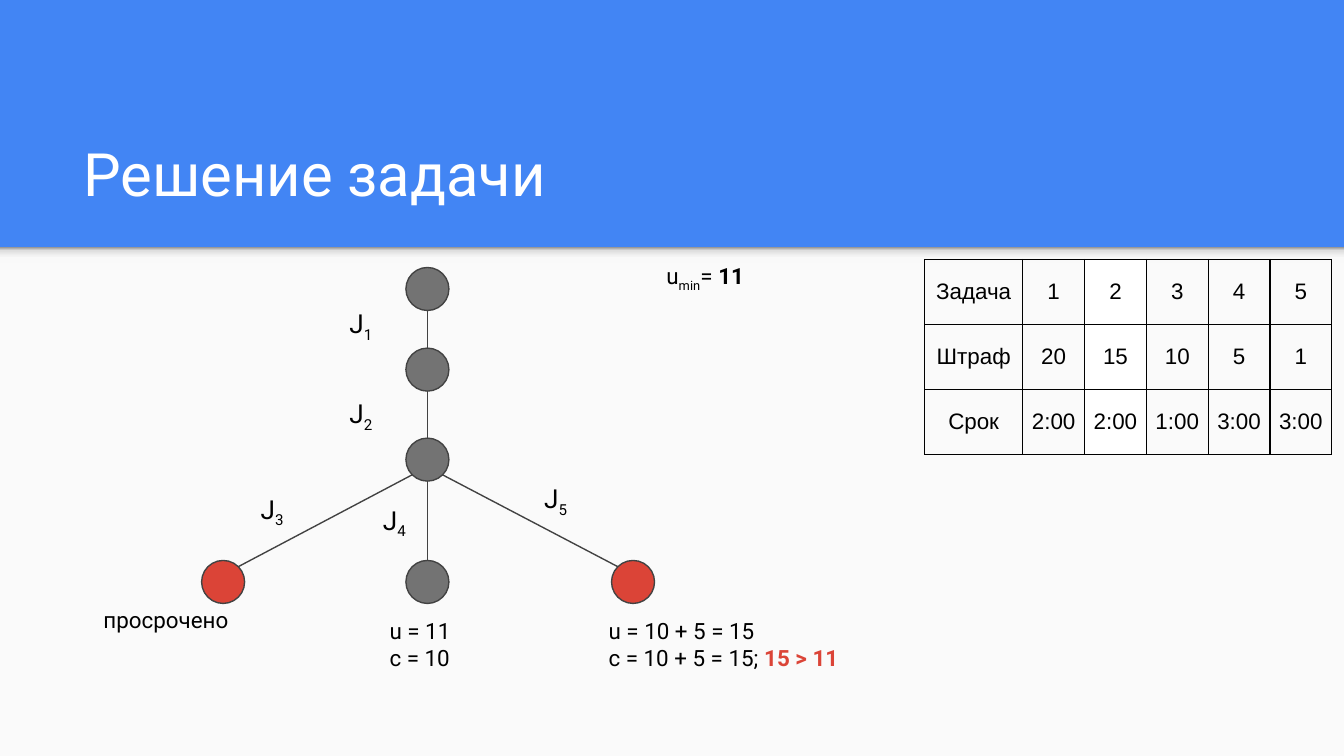
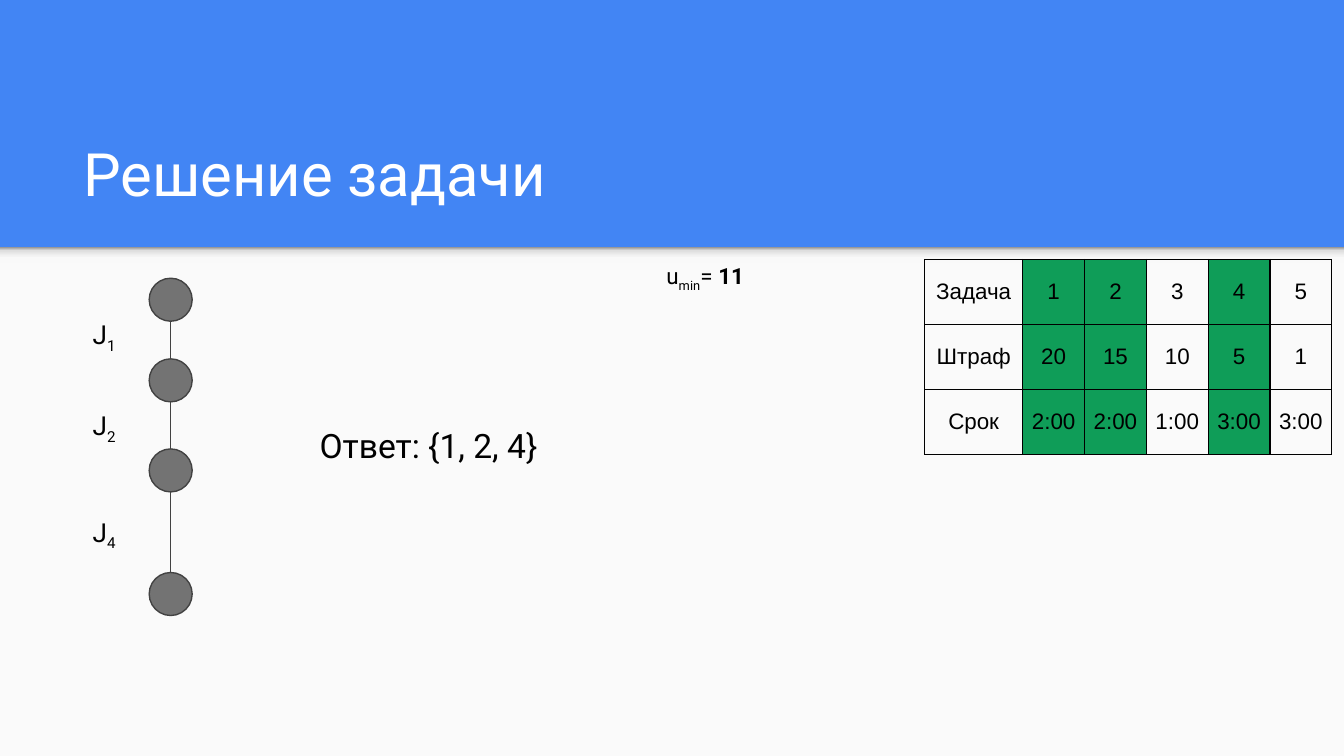
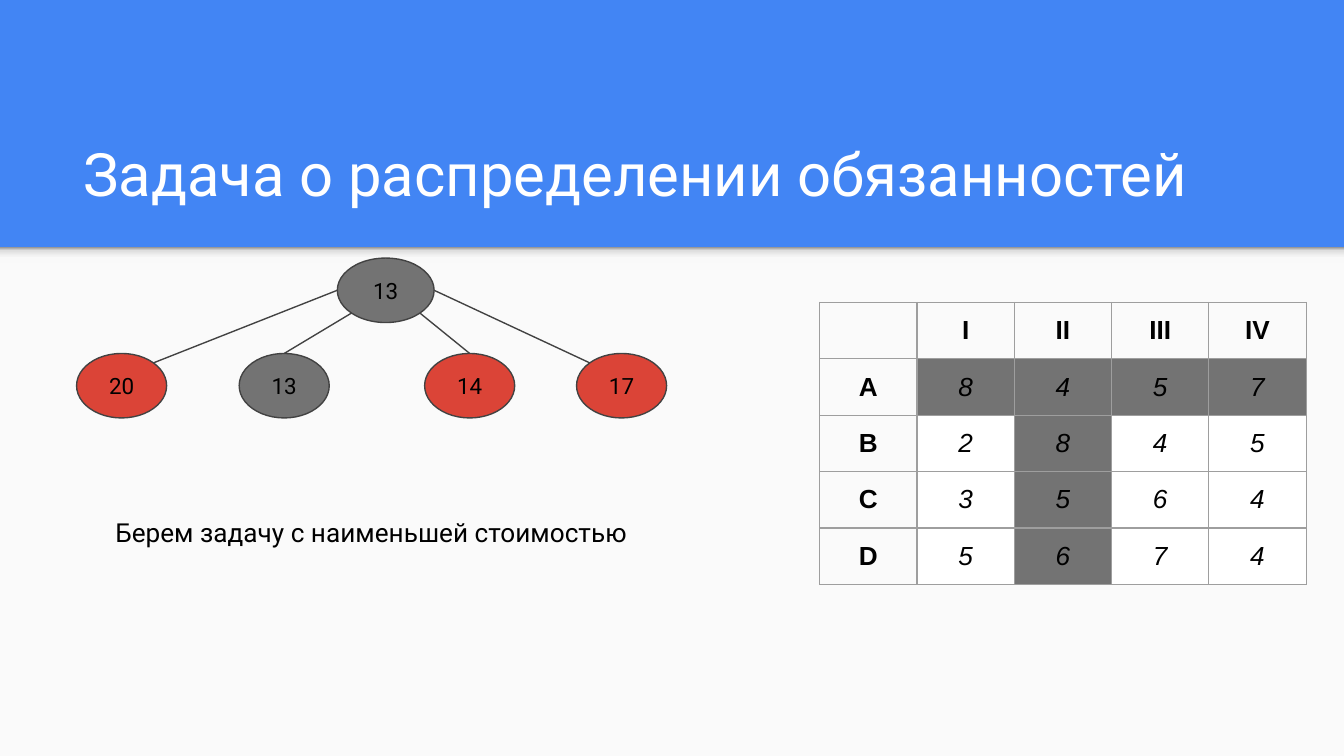
import math

from lxml import etree
from pptx import Presentation
from pptx.dml.color import RGBColor
from pptx.enum import shapes, text
from pptx.oxml import ns
from pptx.util import Inches, Pt

COLORS = {
    "blue": "4285F4", "paper": "FAFAFA", "white": "FFFFFF", "black": "000000",
    "gray": "737373", "red": "DB4437", "green": "0F9D58", "outline": "424242",
    "table line": "9E9E9E",
}
BAND_STOPS = [(0, "F9F9F9"), (36, "F9F9F9"), (80, "DEDEDE"), (100, "999999")]
RGB = {name: RGBColor.from_string(value) for name, value in COLORS.items()}
LEFT, CENTER = text.PP_ALIGN.LEFT, text.PP_ALIGN.CENTER
MIDDLE = text.MSO_ANCHOR.MIDDLE


def write(frame, paragraphs, size, align=LEFT, font="Roboto", color="black"):
    """Fill a text frame; each paragraph is a list of (text, style) runs."""
    for index, runs in enumerate(paragraphs):
        paragraph = frame.add_paragraph() if index else frame.paragraphs[0]
        paragraph.alignment = align
        for content, style in runs:
            run = paragraph.add_run()
            run.text = content
            run.font.name, run.font.size = font, Pt(size)
            run.font.color.rgb = RGB["red" if style == "alert" else color]
            run.font.bold = style in ("bold", "alert")
            run.font.italic = style == "italic"
            if style == "sub":
                run.font._element.set("baseline", "-25000")


def add_table(slide, rows, left, top, widths, row_height, size, margins, line, fills):
    """Draw a bordered table; fills maps (row, column) to a colour name."""
    table = slide.shapes.add_table(
        len(rows), len(widths), Inches(left), Inches(top),
        Inches(sum(widths)), Inches(row_height * len(rows))).table
    for column, width in zip(table.columns, widths):
        column.width = Inches(width)
    for r, row in enumerate(rows):
        table.rows[r].height = Inches(row_height)
        for c, (content, style) in enumerate(row):
            cell = table.cell(r, c)
            cell.margin_left = cell.margin_right = Inches(margins[0])
            cell.margin_top = cell.margin_bottom = Inches(margins[1] if content else 0)
            cell.vertical_anchor = MIDDLE
            if content:
                write(cell.text_frame, [[(content, style)]], size, CENTER, "Arial")
            properties = cell._tc.get_or_add_tcPr()
            for side in ("lnL", "lnR", "lnT", "lnB"):
                border = etree.SubElement(properties, ns.qn(f"a:{side}"), w=str(Pt(0.75)))
                solid = etree.SubElement(border, ns.qn("a:solidFill"))
                etree.SubElement(solid, ns.qn("a:srgbClr"), val=COLORS[line])
            if (r, c) in fills:
                cell.fill.solid()
                cell.fill.fore_color.rgb = RGB[fills[r, c]]
            else:
                cell.fill.background()


presentation = Presentation()
presentation.slide_width = Inches(10)
presentation.slide_height = Inches(10 * 9 / 16)
background = presentation.slide_master.background.fill
background.solid()
background.fore_color.rgb = RGB["blue"]
layout = presentation.slide_layouts[5]

slides = []
for title_text in ("Решение задачи", "Решение задачи", "Задача о распределении обязанностей"):
    slide = presentation.slides.add_slide(layout)
    slides.append(slide)
    title = slide.shapes.title
    title.left, title.top = Inches(0.52), Inches(0.81)
    title.width, title.height = Inches(8.99), Inches(0.84)
    frame = title.text_frame
    frame.auto_size = text.MSO_AUTO_SIZE.NONE
    frame.vertical_anchor = text.MSO_ANCHOR.BOTTOM
    frame.margin_left = frame.margin_right = Inches(0.1)
    frame.margin_top = frame.margin_bottom = Inches(0.1)
    write(frame, [[(title_text, "")]], 32, color="white")

# Shared body panel and the shade under the header, moved into the layout
for position, height in enumerate((3.79, 0.12)):
    panel = slides[0].shapes.add_shape(
        shapes.MSO_SHAPE.RECTANGLE, 0, Inches(1.84), Inches(10), Inches(height))
    panel.shadow.inherit = False
    panel.line.fill.background()
    if position == 0:
        panel.fill.solid()
        panel.fill.fore_color.rgb = RGB["paper"]
    else:
        panel.fill.gradient()
        panel.fill.gradient_angle = 90
        stops = panel._element.spPr.find(".//" + ns.qn("a:gsLst"))
        for stop in list(stops):
            stops.remove(stop)
        for percent, color in BAND_STOPS:
            stop = etree.SubElement(stops, ns.qn("a:gs"), pos=str(percent * 1000))
            etree.SubElement(stop, ns.qn("a:srgbClr"), val=color)
    layout.shapes._spTree.insert(2 + position, panel._element)

# Tables
jobs = [
    ["Задача", "1", "2", "3", "4", "5"],
    ["Штраф", "20", "15", "10", "5", "1"],
    ["Срок", "2:00", "2:00", "1:00", "3:00", "3:00"],
]
job_rows = [[(value, "") for value in row] for row in jobs]
for slide, columns, color in ((slides[0], [2], "white"), (slides[1], [1, 2, 4], "green")):
    fills = {(r, c): color for r in range(3) for c in columns}
    add_table(slide, job_rows, 6.88, 1.93, [0.73] + [0.46] * 5, 1.45 / 3, 12,
              (0.04, 0.05), "black", fills)

costs = [
    ["", "I", "II", "III", "IV"],
    ["A", "8", "4", "5", "7"],
    ["B", "2", "8", "4", "5"],
    ["C", "3", "5", "6", "4"],
    ["D", "5", "6", "7", "4"],
]
cost_rows = [[(value, "italic" if r and c else "bold") for c, value in enumerate(row)]
             for r, row in enumerate(costs)]
cost_fills = {(r, c): "gray" if r == 1 or c == 2 else "white"
              for r in range(1, 5) for c in range(1, 5)}
add_table(slides[2], cost_rows, 6.1, 2.25, [3.62 / 5] * 5, 0.42, 14,
          (0.1, 0.1), "table line", cost_fills)

# Trees: nodes are (left, top, width, height, colour, text);
# edges are (parent, angle, child, angle), clockwise degrees from the right
DOT = (0.32, 0.32)
chain_edges = [(0, 90, 1, 270), (1, 90, 2, 270), (2, 90, 3, 270)]
trees = [
    (slides[0],
     [(3.02, top, *DOT, "gray", "") for top in (1.99, 2.59, 3.26, 4.17)]
     + [(left, 4.17, *DOT, "red", "") for left in (1.5, 4.55)],
     chain_edges + [(2, 135, 4, 315), (2, 45, 5, 225)]),
    (slides[1],
     [(1.11, top, *DOT, "gray", "") for top in (2.07, 2.67, 3.34, 4.26)],
     chain_edges),
    (slides[2],
     [(2.51, 1.92, 0.72, 0.48, "gray", "13")]
     + [(left, 2.63, 0.67, 0.48, color, cost) for left, color, cost in (
         (0.57, "red", "20"), (1.78, "gray", "13"), (3.16, "red", "14"), (4.29, "red", "17"))],
     [(0, 180, 1, 315), (0, 135, 2, 270), (0, 45, 3, 270), (0, 0, 4, 225)]),
]
for slide, nodes, edges in trees:
    for left, top, width, height, color, content in nodes:
        node = slide.shapes.add_shape(
            shapes.MSO_SHAPE.OVAL, Inches(left), Inches(top), Inches(width), Inches(height))
        node.shadow.inherit = False
        node.fill.solid()
        node.fill.fore_color.rgb = RGB[color]
        node.line.color.rgb = RGB["outline"]
        node.line.width = Pt(0.75)
        if content:
            node.text_frame.vertical_anchor = MIDDLE
            write(node.text_frame, [[(content, "")]], 12, CENTER)
    for parent, parent_angle, child, child_angle in edges:
        ends = []
        for index, angle in ((parent, parent_angle), (child, child_angle)):
            left, top, width, height = nodes[index][:4]
            ends.append(Inches(left + width / 2 * (1 + math.cos(math.radians(angle)))))
            ends.append(Inches(top + height / 2 * (1 + math.sin(math.radians(angle)))))
        edge = slide.shapes.add_connector(shapes.MSO_CONNECTOR.STRAIGHT, *ends)
        edge.line.color.rgb = RGB["outline"]
        edge.line.width = Pt(0.75)
        etree.SubElement(edge._element.spPr, ns.qn("a:effectLst"))

# Labels: (slide, left, top, width, height, size, alignment, paragraphs)
job_labels = [
    (0, "1", 2.48, 2.19), (0, "2", 2.48, 2.86), (0, "3", 1.82, 3.57),
    (0, "4", 2.73, 3.65), (0, "5", 3.93, 3.49),
    (1, "1", 0.57, 2.27), (1, "2", 0.57, 2.95), (1, "4", 0.57, 3.74),
]
labels = [(number, left, top, 0.41, 0.44, 14, CENTER, [[("J", ""), (job, "sub")]])
          for number, job, left, top in job_labels]
labels += [(number, 4.86, 1.85, 1.79, 0.59, 12, LEFT,
            [[("u", ""), ("min", "sub"), ("= ", ""), ("11", "bold")]]) for number in (0, 1)]
labels += [
    (0, 0.57, 4.41, 1.33, 0.41, 12, CENTER, [[("просрочено", "")]]),
    (0, 2.8, 4.49, 3.68, 0.59, 12, LEFT, [[("u = 11", "")], [("с = 10", "")]]),
    (0, 4.43, 4.49, 3.68, 0.59, 12, LEFT,
     [[("u = 10 + 5 = 15", "")], [("с = 10 + 5 = 15; ", ""), ("15 > 11", "alert")]]),
    (1, 2.28, 3.06, 3.96, 0.59, 18, LEFT, [[("Ответ: {1, 2, 4}", "")]]),
    (2, 0.76, 3.74, 4.36, 1.23, 14, LEFT, [[("Берем задачу с наименьшей стоимостью", "")]]),
]
for number, left, top, width, height, size, align, paragraphs in labels:
    label = slides[number].shapes.add_textbox(
        Inches(left), Inches(top), Inches(width), Inches(height))
    frame = label.text_frame
    frame.word_wrap = True
    frame.margin_left = frame.margin_right = Inches(0.1)
    frame.margin_top = frame.margin_bottom = Inches(0.1)
    write(frame, paragraphs, size, align)

presentation.save("out.pptx")
